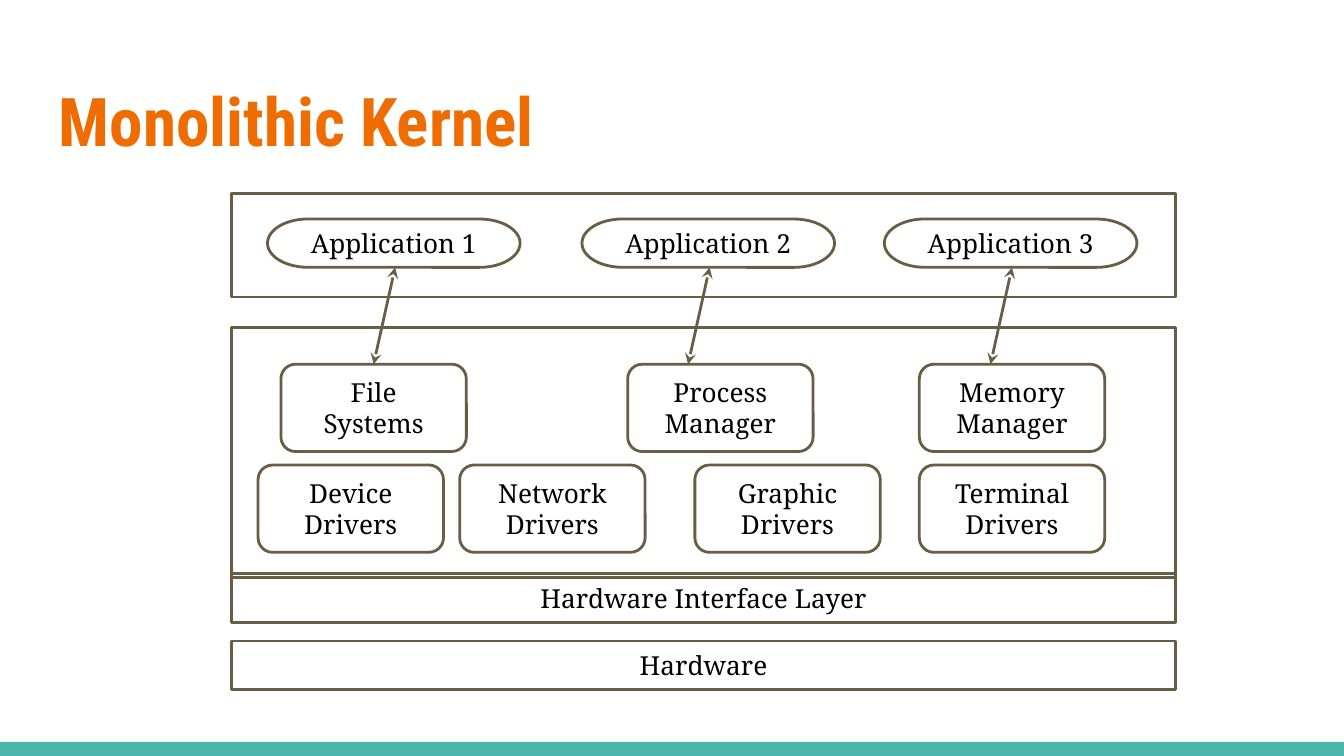
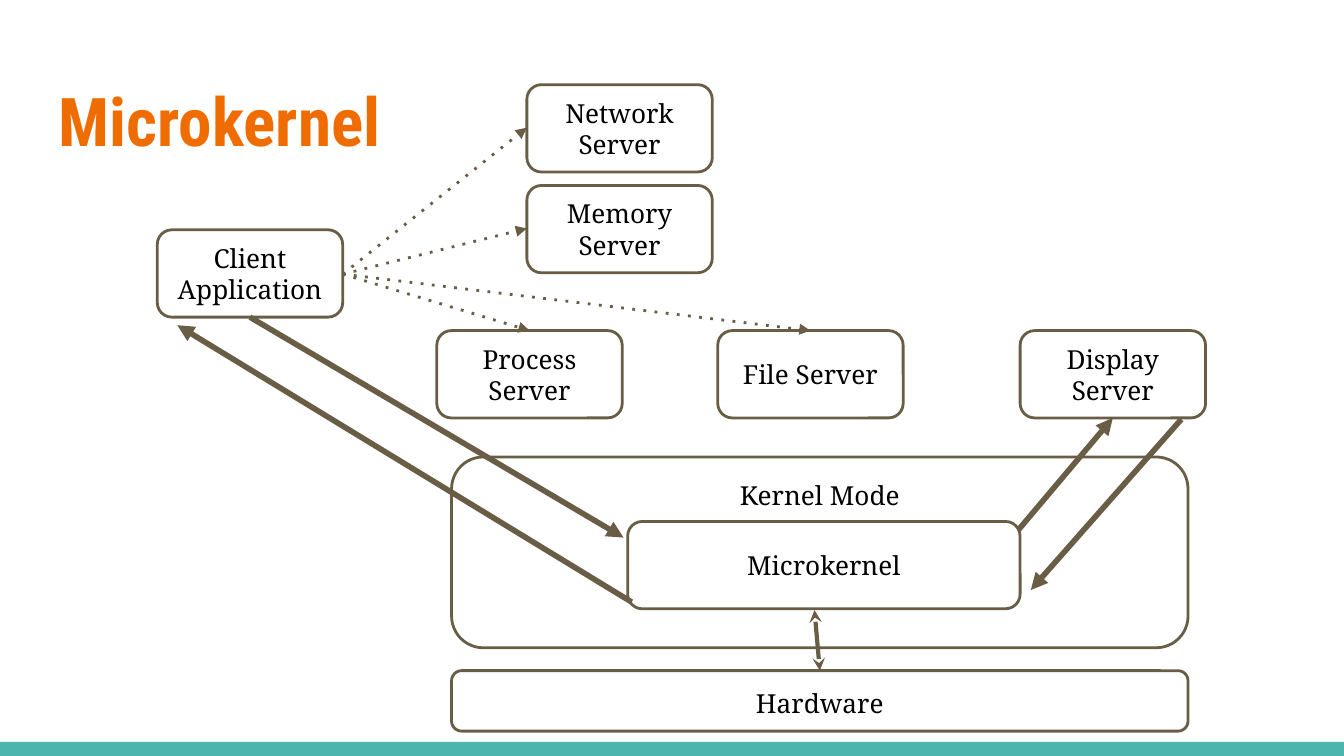
from lxml import etree
from pptx import Presentation
from pptx.dml.color import RGBColor as RGB
from pptx.enum.shapes import MSO_CONNECTOR as Conn, MSO_SHAPE as Shape
from pptx.enum.text import MSO_ANCHOR as Anchor, PP_ALIGN as Align
from pptx.oxml.ns import qn
from pptx.util import Inches, Pt

HUE = {"title": "EF6C00", "band": "4DB6AC", "line": "695D46", "text": "000000"}
RECT, ROUND, OVAL = Shape.RECTANGLE, Shape.ROUNDED_RECTANGLE, Shape.FLOWCHART_TERMINATOR
NODE_W, NODE_H = 1.38, 0.65

deck = Presentation()
deck.slide_width, deck.slide_height = Inches(10), Inches(5.625)


def add_box(slide, kind, left, top, width, height, text="", anchor=Anchor.MIDDLE):
    box = slide.shapes.add_shape(kind, *map(Inches, (left, top, width, height)))
    box.shadow.inherit = False
    box.fill.background()
    box.line.color.rgb = RGB.from_string(HUE["line"])
    box.line.width = Pt(1.5)
    frame = box.text_frame
    frame.margin_left = frame.margin_right = Inches(0.1)
    frame.margin_top = frame.margin_bottom = Inches(0.1)
    frame.vertical_anchor = anchor
    frame.text = text
    para = frame.paragraphs[0]
    para.alignment = Align.CENTER
    for run in para.runs:
        run.font.name, run.font.size = "Noto Serif", Pt(14)
        run.font.color.rgb = RGB.from_string(HUE["text"])


def add_link(slide, start, end, width, tail, head=None, dash=None):
    link = slide.shapes.add_connector(Conn.STRAIGHT, *map(Inches, (*start, *end)))
    link.line.color.rgb = RGB.from_string(HUE["line"])
    link.line.width = Pt(width)
    props = link.line.color and link._element.spPr
    etree.SubElement(props, qn("a:effectLst"))
    line = props.find(qn("a:ln"))
    for tag, name, value in (("a:prstDash", "val", dash), ("a:headEnd", "type", head),
                             ("a:tailEnd", "type", tail)):
        if value:
            etree.SubElement(line, qn(tag)).set(name, value)


slides = []
for name in ("Monolithic Kernel", "Microkernel"):
    slide = deck.slides.add_slide(deck.slide_layouts[6])
    band = slide.shapes.add_shape(RECT, 0, Inches(5.52), Inches(10), Inches(0.11))
    band.shadow.inherit = False
    band.fill.solid()
    band.fill.fore_color.rgb = RGB.from_string(HUE["band"])
    band.line.fill.background()
    title = slide.shapes.add_textbox(Inches(0.34), Inches(0.49), Inches(9.32), Inches(0.77))
    frame = title.text_frame
    frame.word_wrap = True
    frame.margin_top = frame.margin_bottom = Inches(0.1)
    frame.text = name
    font = frame.paragraphs[0].runs[0].font
    font.name, font.size, font.bold = "Roboto Condensed", Pt(36), True
    font.color.rgb = RGB.from_string(HUE["title"])
    slides.append(slide)
mono, micro = slides

for top, height, text in ((1.44, 0.77, ""), (2.44, 1.86, ""),
                          (4.27, 0.36, "Hardware Interface Layer"), (4.77, 0.36, "Hardware")):
    add_box(mono, RECT, 1.72, top, 7.03, height, text)
for num, left in enumerate((1.99, 4.33, 6.58), 1):
    add_box(mono, OVAL, left, 1.63, 1.88, 0.36, f"Application {num}")
    add_link(mono, (left + 0.95, 1.99), (left + 0.79, 2.71), 1.5, "stealth", "stealth")
for left, top, text in (
    (2.09, 2.71, "File Systems"), (4.67, 2.71, "Process Manager"), (6.84, 2.71, "Memory Manager"),
    (1.92, 3.46, "Device Drivers"), (3.42, 3.46, "Network Drivers"),
    (5.17, 3.46, "Graphic Drivers"), (6.84, 3.46, "Terminal Drivers"),
):
    add_box(mono, ROUND, left, top, NODE_W, NODE_H, text)

for left, top, text in (
    (1.17, 1.71, "Client Application"), (3.92, 0.63, "Network Server"),
    (3.92, 1.38, "Memory Server"), (3.25, 2.46, "Process Server"),
    (5.34, 2.46, "File Server"), (7.59, 2.46, "Display Server"),
):
    add_box(micro, ROUND, left, top, NODE_W, NODE_H, text)
add_box(micro, ROUND, 4.67, 3.88, 2.92, NODE_H, "Microkernel")
add_box(micro, ROUND, 3.36, 3.4, 5.48, 1.42, "Kernel Mode", Anchor.TOP)
add_box(micro, ROUND, 3.36, 4.99, 5.48, 0.45, "Hardware", Anchor.TOP)
for start, end in (((1.86, 2.36), (4.64, 4)), ((4.7, 4.48), (1.32, 2.42)),
                   ((7.58, 3.94), (8.28, 3.11)), ((8.79, 3.12), (7.67, 4.39))):
    add_link(micro, start, end, 3, "triangle")
for end in ((3.92, 0.95), (3.92, 1.7), (3.94, 2.46), (6.03, 2.46)):
    add_link(micro, (2.55, 2.04), end, 1.5, "triangle", dash="dot")
add_link(micro, (6.06, 4.54), (6.1, 4.99), 2.25, "stealth", "stealth")

deck.save("out.pptx")
